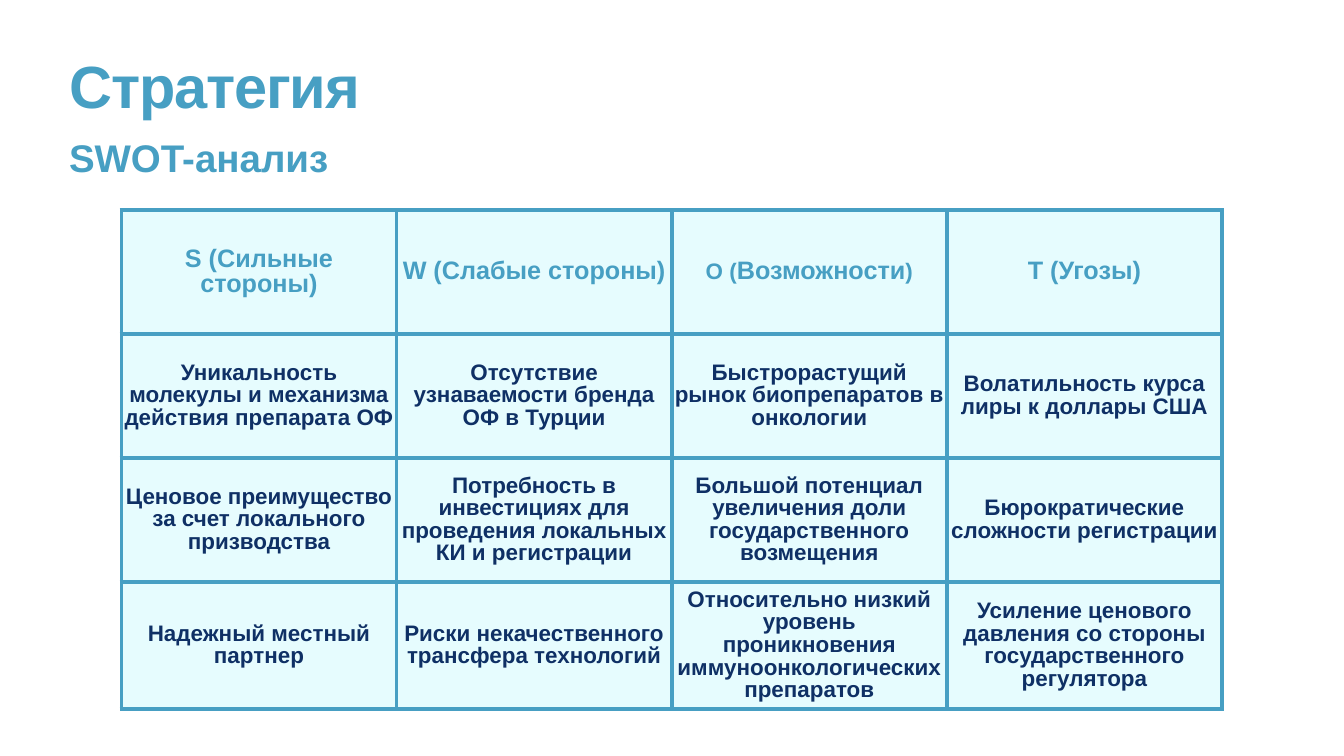
from lxml import etree
from pptx import Presentation
from pptx.dml.color import RGBColor
from pptx.enum.text import MSO_ANCHOR, PP_ALIGN
from pptx.oxml import parse_xml
from pptx.oxml.ns import qn
from pptx.util import Inches, Pt

MID, TOP = MSO_ANCHOR.MIDDLE, MSO_ANCHOR.TOP
LEFT, CENTER = PP_ALIGN.LEFT, PP_ALIGN.CENTER
NS = "http://schemas.openxmlformats.org/drawingml/2006/main"

BLUE, NAVY, TINT = "479FC3", "0F3065", "4EEFF9"
HEAD, BODY = 36, 32  # table text sizes

# Content: a cell is a list of (text, size) runs
HEADS = [
    [("S (Сильные стороны)", HEAD)],
    [("W (Слабые стороны)", HEAD)],
    [("O (", BODY), ("Возможности", HEAD), (")", BODY)],
    [("T (Угозы)", HEAD)],
]
ROWS = [
    ["Уникальность молекулы и механизма действия препарата ОФ",
     "Отсутствие узнаваемости бренда ОФ в Турции",
     "Быстрорастущий рынок биопрепаратов в онкологии",
     "Волатильность курса лиры к доллары США"],
    ["Ценовое преимущество за счет локального призводства",
     "Потребность в инвестициях для проведения локальных КИ и регистрации",
     "Большой потенциал увеличения доли государственного возмещения",
     "Бюрократические сложности регистрации"],
    ["Надежный местный партнер",
     "Риски некачественного трансфера технологий",
     "Относительно низкий уровень проникновения иммуноонкологических препаратов",
     "Усиление ценового давления со стороны государственного регулятора"],
]
# text, size, top, height, inset, line spacing, anchor, letter spacing
TITLES = [
    ("Стратегия", 85, 1.18, 1.57, 0.06, 0.8, TOP, -170),
    ("SWOT-анализ", 55, 2.6, 1.02, 0.05, 1.0, MID, 0),
]
COL, ROW = 5.46, 2.46


def rgb(code):
    return RGBColor.from_string(code)


def inset(part, gap):
    for side in ("left", "top", "right", "bottom"):
        setattr(part, "margin_" + side, Inches(gap))


def write(para, runs, color, align, space):
    para.alignment, para.line_spacing = align, space
    for text, size in runs:
        run = para.add_run()
        run.text = text
        look = {"name": "Arial", "size": Pt(size), "bold": True}
        for key, val in look.items():
            setattr(run.font, key, val)
        run.font.color.rgb = rgb(color)


def style(cell):
    """Give a cell its translucent fill and its four borders."""
    cell.fill.solid()
    cell.fill.fore_color.rgb = rgb(TINT)
    props = cell._tc.get_or_add_tcPr()
    tint = props.find(qn("a:solidFill"))[0]
    etree.SubElement(tint, qn("a:alpha")).set("val", "14000")
    for spot, side in enumerate("LRTB"):
        props.insert(spot, parse_xml(
            f'<a:ln{side} xmlns:a="{NS}" w="{Pt(6)}"><a:solidFill>'
            f'<a:srgbClr val="{BLUE}"/></a:solidFill></a:ln{side}>'))


deck = Presentation()
deck.slide_width, deck.slide_height = Inches(26.67), Inches(15)
slide = deck.slides.add_slide(deck.slide_layouts[6])

# Title and subtitle
for text, size, top, high, gap, space, anchor, track in TITLES:
    box = slide.shapes.add_textbox(
        Inches(1.32), Inches(top), Inches(24.03), Inches(high))
    frame = box.text_frame
    frame.word_wrap, frame.vertical_anchor = True, anchor
    inset(frame, gap)
    para = frame.paragraphs[0]
    write(para, [(text, size)], BLUE, LEFT, space)
    if track:
        para.runs[0].font._element.set("spc", str(track))

# SWOT table
grid = [HEADS] + [[[(text, BODY)] for text in row] for row in ROWS]
wide, tall = len(HEADS), len(grid)
table = slide.shapes.add_table(
    tall, wide, Inches(2.41), Inches(4.17),
    Inches(COL * wide), Inches(ROW * tall)).table
for col in table.columns:
    col.width = Inches(COL)
for r, row in enumerate(grid):
    table.rows[r].height = Inches(ROW)
    for c, runs in enumerate(row):
        cell = table.cell(r, c)
        cell.vertical_anchor = MID
        inset(cell, 0.06)
        style(cell)
        write(cell.text_frame.paragraphs[0], runs,
              NAVY if r else BLUE, CENTER, 0.9)

deck.save("out.pptx")
